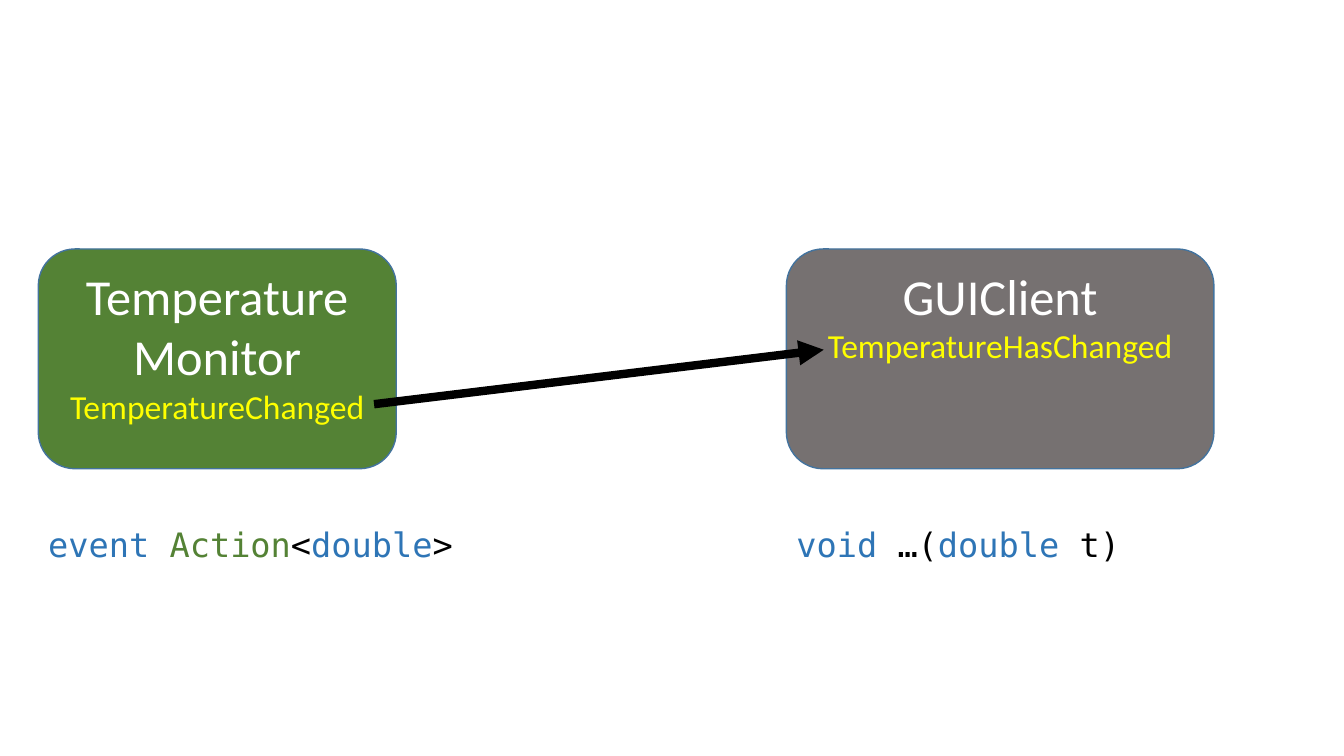
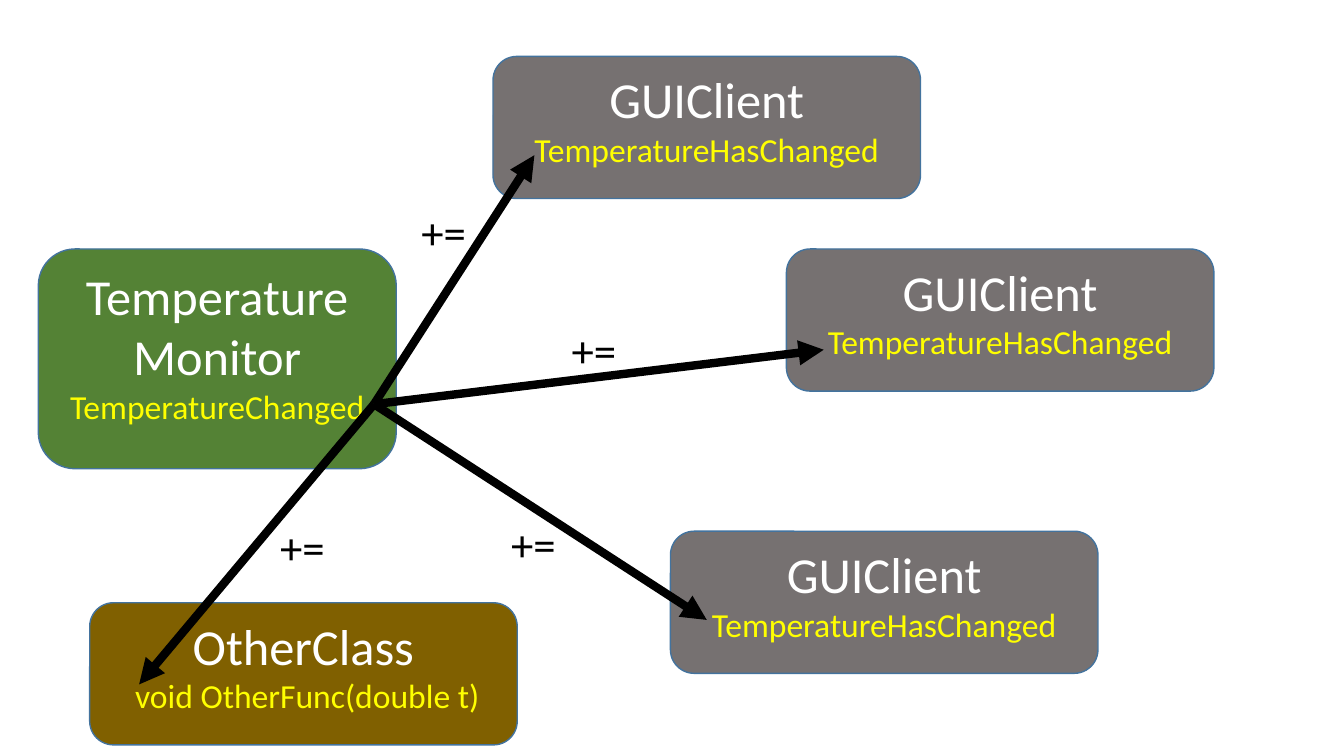
from lxml.etree import SubElement
from pptx import Presentation
from pptx.dml.color import RGBColor
from pptx.enum.shapes import MSO_CONNECTOR, MSO_SHAPE
from pptx.enum.text import MSO_ANCHOR, MSO_AUTO_SIZE, PP_ALIGN
from pptx.oxml.ns import qn
from pptx.util import Inches, Pt

GREEN, GRAY, BROWN = "548235", "767171", "806000"
WHITE, YELLOW, BLACK, BLUE, OUTLINE = "FFFFFF", "FFFF00", "000000", "2E75B6", "43739E"
BODY_FONT, CODE_FONT = "Calibri", "DejaVu Sans Mono"

TALL, SHORT = 2.18, 1.41
CLIENT_WIDTH = 4.24
EVENT_POINT = (3.71, 4.01)

MONITOR = (["Temperature", "Monitor"], "TemperatureChanged", GREEN)
CLIENT = (["GUIClient"], "TemperatureHasChanged", GRAY)
OTHER = (["OtherClass"], " void OtherFunc(double t)", BROWN)
MONITOR_PLACE = (0.38, 2.47, 3.55, TALL)

SLIDES = [
    {
        "boxes": [(MONITOR, MONITOR_PLACE), (CLIENT, (7.8, 2.47, CLIENT_WIDTH, TALL))],
        "targets": [(8.17, 3.47)],
        "signatures": [
            (0.38, [("event ", BLUE), ("Action", GREEN), ("<", BLACK), ("double", BLUE), (">", BLACK)]),
            (7.8, [("void ", BLUE), ("…(", BLACK), ("double ", BLUE), ("t)", BLACK)]),
        ],
        "labels": [],
    },
    {
        "boxes": [
            (MONITOR, MONITOR_PLACE),
            (CLIENT, (7.8, 2.47, CLIENT_WIDTH, SHORT)),
            (CLIENT, (4.89, 0.56, CLIENT_WIDTH, SHORT)),
            (CLIENT, (6.65, 5.27, CLIENT_WIDTH, SHORT)),
            (OTHER, (0.89, 5.98, CLIENT_WIDTH, SHORT)),
        ],
        "targets": [(8.17, 3.47), (7.01, 6.15), (5.3, 1.54), (1.38, 6.79)],
        "signatures": [],
        "labels": [(2.68, 5.11), (4.08, 1.98), (5.57, 3.15), (4.97, 5.08)],
    },
]


def color(code):
    return RGBColor.from_string(code)


def add_span(para, text, size, code, font=BODY_FONT):
    span = para.add_run()
    span.text = text
    span.font.size = Pt(size)
    span.font.name = font
    span.font.color.rgb = color(code)


def add_class_box(page, content, place):
    names, member, fill = content
    box = page.shapes.add_shape(MSO_SHAPE.ROUNDED_RECTANGLE, *map(Inches, place))
    box.shadow.inherit = False
    box.fill.solid()
    box.fill.fore_color.rgb = color(fill)
    box.line.color.rgb = color(OUTLINE)
    box.line.width = Pt(1)
    frame = box.text_frame
    frame.word_wrap = True
    frame.vertical_anchor = MSO_ANCHOR.TOP
    lines = [(name, 36, WHITE) for name in names] + [(member, 24, YELLOW)]
    for index, line in enumerate(lines):
        para = frame.add_paragraph() if index else frame.paragraphs[0]
        para.alignment = PP_ALIGN.CENTER
        add_span(para, *line)


def add_arrow(page, start, end):
    arrow = page.shapes.add_connector(MSO_CONNECTOR.STRAIGHT, *map(Inches, start + end))
    arrow.line.color.rgb = color(BLACK)
    arrow.line.width = Pt(6)
    SubElement(arrow.line._get_or_add_ln(), qn("a:tailEnd"), type="triangle")
    SubElement(arrow._element.spPr, qn("a:effectLst"))


def add_text(page, place, spans, size, font, wrap):
    frame = page.shapes.add_textbox(*map(Inches, place)).text_frame
    frame.word_wrap = wrap
    frame.auto_size = MSO_AUTO_SIZE.SHAPE_TO_FIT_TEXT
    for text, code in spans:
        add_span(frame.paragraphs[0], text, size, code, font)


def main():
    deck = Presentation()
    deck.slide_width, deck.slide_height = Inches(13.33), Inches(7.5)
    for content in SLIDES:
        page = deck.slides.add_slide(deck.slide_layouts[6])
        for box, place in content["boxes"]:
            add_class_box(page, box, place)
        for target in content["targets"]:
            add_arrow(page, EVENT_POINT, target)
        for left, spans in content["signatures"]:
            add_text(page, (left, 5.15, 4.36, 0.5), spans, 24, CODE_FONT, True)
        for left, top in content["labels"]:
            add_text(page, (left, top, 0.65, 0.64), [("+=", BLACK)], 32, BODY_FONT, False)
    deck.save("out.pptx")


if __name__ == "__main__":
    main()
